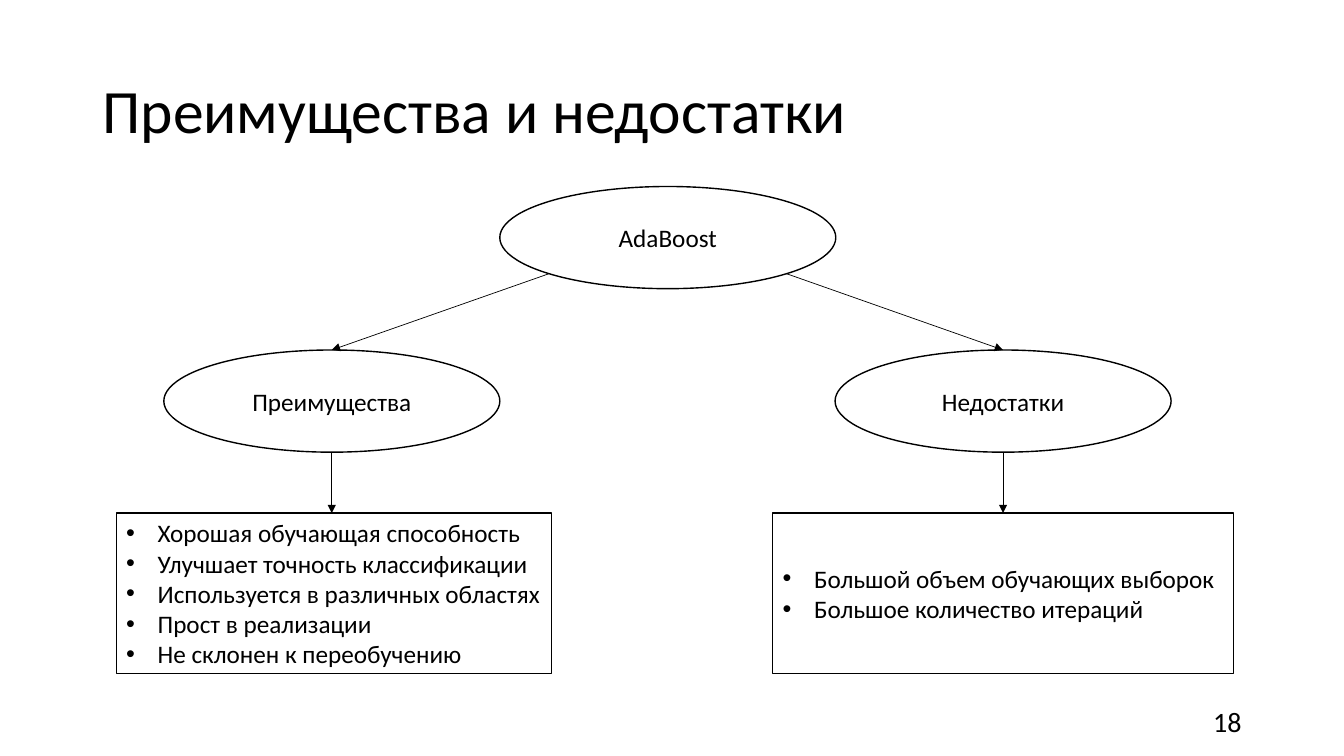
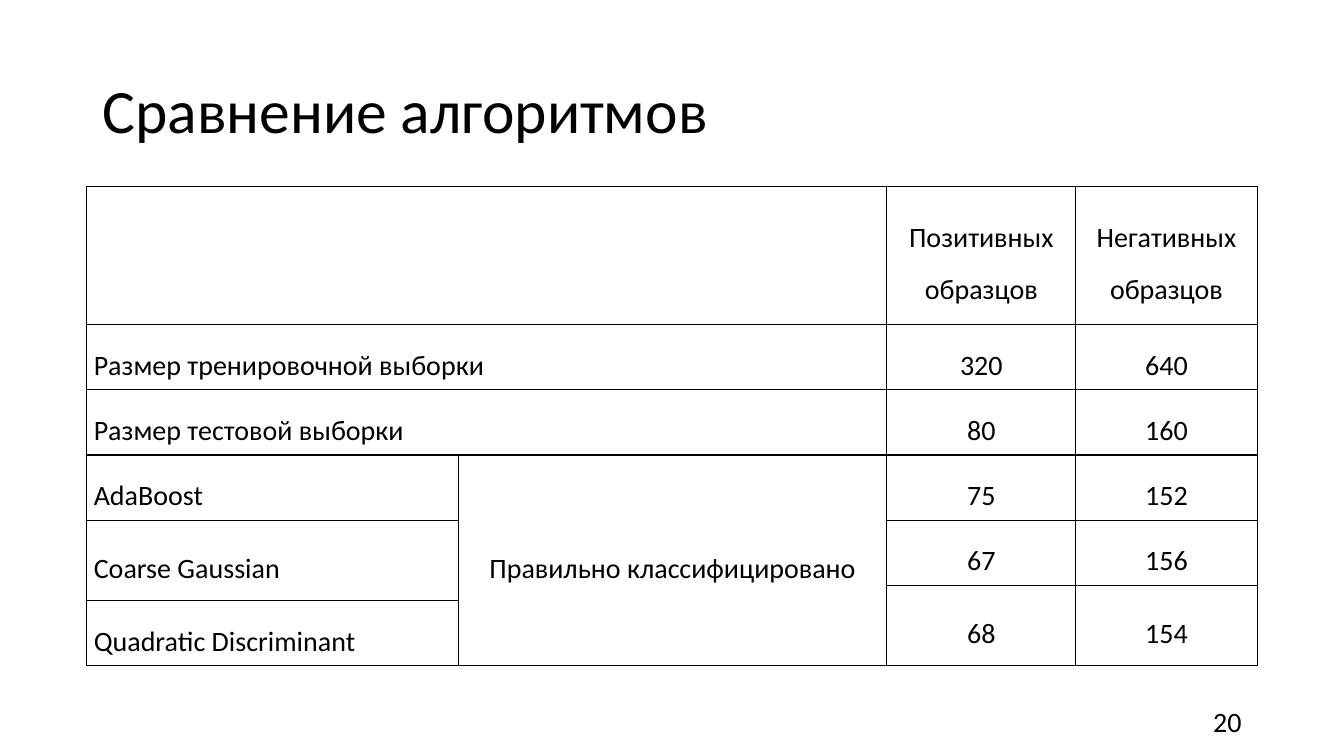
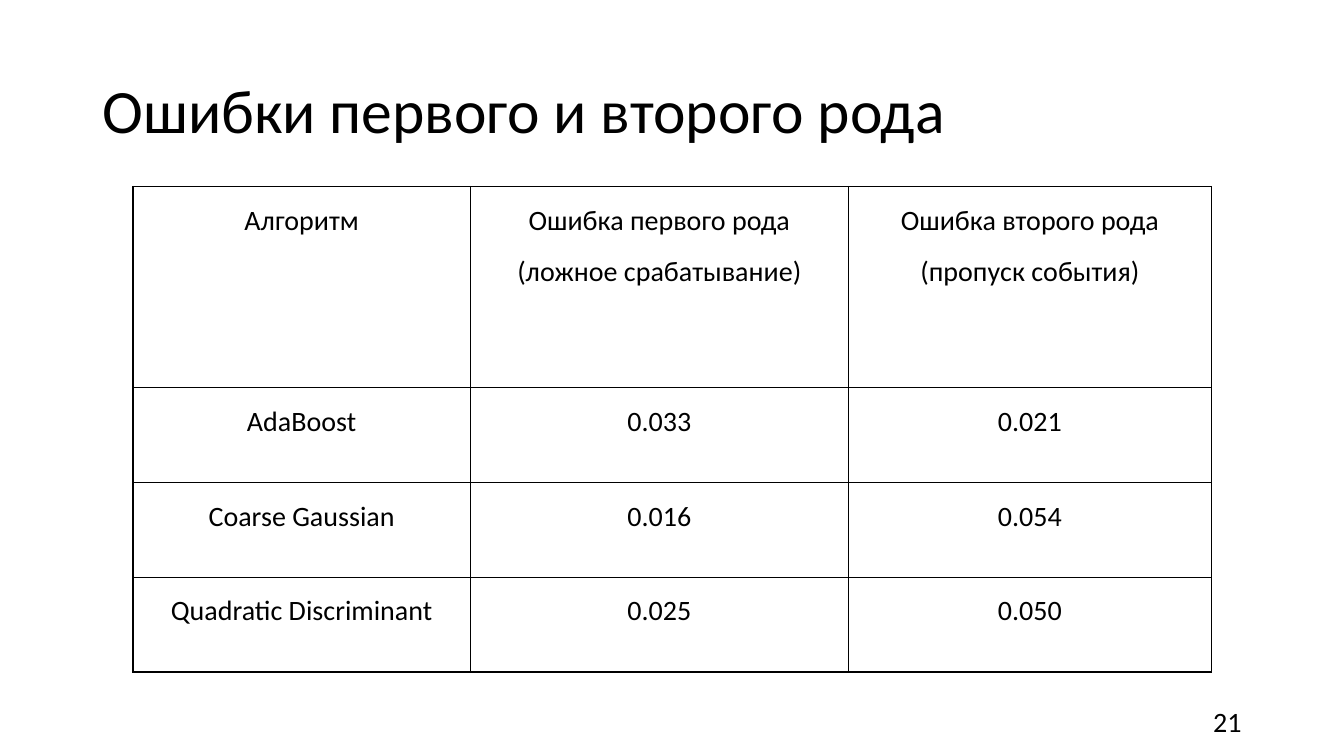
from dataclasses import dataclass
from math import sqrt

from lxml import etree
from pptx import Presentation
from pptx import util as u
from pptx.dml.color import RGBColor
from pptx.enum import shapes, text
from pptx.oxml.ns import qn


@dataclass(frozen=True)
class Theme:
    ink: RGBColor = RGBColor(0, 0, 0)
    paper: RGBColor = RGBColor(255, 255, 255)
    font: str = "Calibri"
    title_size: int = 44
    table_size: int = 20
    number_size: int = 20
    diagram_size: int = 18
    outline: float = 1
    arrow: float = 0.5


THEME = Theme()
ALIGN = text.PP_ALIGN
ANCHOR = text.MSO_ANCHOR

CONTENT_TOP = 133.2
OVAL_WIDTH, OVAL_HEIGHT = 240, 73
BRANCH_TOP = 250
LIST_TOP, LIST_HEIGHT = 366.5, 114.5
ROOT_CENTER = 477
BRANCHES = [
    ("Преимущества", 237, 83, 311, [
        "Хорошая обучающая способность",
        "Улучшает точность классификации",
        "Используется в различных областях",
        "Прост в реализации",
        "Не склонен к переобучению",
    ]),
    ("Недостатки", 716.5, 552, 329, [
        "Большой объем обучающих выборок",
        "Большое количество итераций",
    ]),
]

COMPARISON = [
    [None, None, "Позитивных образцов", "Негативных образцов"],
    ["Размер тренировочной выборки", None, "320", "640"],
    ["Размер тестовой выборки", None, "80", "160"],
    ["AdaBoost", "Правильно классифицировано", "75", "152"],
    ["Coarse Gaussian", None, "67", "156"],
    [None, None, "68", "154"],
    ["Quadratic Discriminant", None, None, None],
]
COMPARISON_MERGES = [
    ((0, 0), (0, 1)), ((1, 0), (1, 1)), ((2, 0), (2, 1)),
    ((3, 1), (6, 1)), ((4, 0), (5, 0)),
    ((5, 2), (6, 2)), ((5, 3), (6, 3)),
]

ERRORS = [
    ["Алгоритм", "Ошибка первого рода (ложное срабатывание)",
     "Ошибка второго рода (пропуск события)"],
    ["AdaBoost", "0.033", "0.021"],
    ["Coarse Gaussian", "0.016", "0.054"],
    ["Quadratic Discriminant", "0.025", "0.050"],
]


def apply(target, **values):
    for name, value in values.items():
        setattr(target, name, value)


def add_child(parent, tag, **attributes):
    child = etree.SubElement(parent, qn(tag))
    for name, value in attributes.items():
        child.set(name, str(value))
    return child


def points(*lengths):
    return [u.Pt(length) for length in lengths]


def write(frame, lines, size, **para_format):
    frame.text = "\n".join(lines)
    for para in frame.paragraphs:
        apply(para, **para_format)
        for span in para.runs:
            apply(span.font, name=THEME.font, size=u.Pt(size))
            span.font.color.rgb = THEME.ink


def add_bullets(frame):
    for para in frame.paragraphs:
        props = para._p.get_or_add_pPr()
        props.set("marL", str(u.Pt(22.5)))
        props.set("indent", str(-u.Pt(22.5)))
        add_child(props, "a:buFont", typeface="Arial")
        add_child(props, "a:buChar", char="•")


def add_page(deck, title, number):
    page = deck.slides.add_slide(deck.slide_layouts[5])
    heading = page.shapes.title
    left, top, width, height = points(66, 28.8, 828, 104.4)
    apply(heading, left=left, top=top, width=width, height=height)
    heading.text_frame.vertical_anchor = ANCHOR.MIDDLE
    write(heading.text_frame, [title], THEME.title_size,
          alignment=ALIGN.LEFT, line_spacing=0.9)
    box = page.shapes.add_textbox(*points(678, 500.5, 216, 28.8))
    apply(box.text_frame, word_wrap=True, vertical_anchor=ANCHOR.MIDDLE)
    write(box.text_frame, [str(number)], THEME.number_size, alignment=ALIGN.RIGHT)
    return page


def add_box(page, kind, place, lines, alignment):
    box = page.shapes.add_shape(kind, *points(*place))
    box.shadow.inherit = False
    box.fill.solid()
    box.fill.fore_color.rgb = THEME.paper
    box.line.color.rgb = THEME.ink
    box.line.width = u.Pt(THEME.outline)
    apply(box.text_frame, word_wrap=True, vertical_anchor=ANCHOR.MIDDLE)
    write(box.text_frame, lines, THEME.diagram_size, alignment=alignment)
    return box


def add_oval(page, center, top, label):
    place = (center - OVAL_WIDTH / 2, top, OVAL_WIDTH, OVAL_HEIGHT)
    add_box(page, shapes.MSO_SHAPE.OVAL, place, [label], ALIGN.CENTER)


def add_list(page, place, lines):
    box = add_box(page, shapes.MSO_SHAPE.RECTANGLE, place, lines, ALIGN.JUSTIFY)
    add_bullets(box.text_frame)


def add_arrow(page, start, end):
    arrow = page.shapes.add_connector(
        shapes.MSO_CONNECTOR.STRAIGHT, *points(*start, *end))
    arrow.line.color.rgb = THEME.ink
    arrow.line.width = u.Pt(THEME.arrow)
    add_child(arrow.line._get_or_add_ln(), "a:tailEnd", type="triangle")
    add_child(arrow._element.spPr, "a:effectLst")


def add_borders(cell):
    props = cell._tc.get_or_add_tcPr()
    for index, side in enumerate(("a:lnL", "a:lnR", "a:lnT", "a:lnB")):
        line = add_child(props, side, w=u.Pt(THEME.outline))
        fill = add_child(line, "a:solidFill")
        add_child(fill, "a:srgbClr", val=THEME.ink)
        props.insert(index, line)


def add_grid(page, left, widths, heights, rows, anchor, label_align, merges=()):
    place = points(left, CONTENT_TOP, sum(widths), sum(heights))
    table = page.shapes.add_table(len(rows), len(widths), *place).table
    apply(table, first_row=False, horz_banding=False)
    for column, width in zip(table.columns, widths):
        column.width = u.Pt(width)
    for row, height in zip(table.rows, heights):
        row.height = u.Pt(height)
    for first, last in merges:
        table.cell(*first).merge(table.cell(*last))
    for row, labels in zip(table.rows, rows):
        for index, (cell, label) in enumerate(zip(row.cells, labels)):
            apply(cell, vertical_anchor=anchor, margin_left=u.Pt(5),
                  margin_right=u.Pt(5), margin_top=0, margin_bottom=0)
            cell.fill.background()
            add_borders(cell)
            if label:
                write(cell.text_frame, [label], THEME.table_size,
                      alignment=ALIGN.CENTER if index else label_align,
                      line_spacing=1.5, space_after=u.Pt(6))


def build_pros_and_cons(deck):
    page = add_page(deck, "Преимущества и недостатки", 18)
    add_oval(page, ROOT_CENTER, CONTENT_TOP, "AdaBoost")
    diagonal = 1 / sqrt(2)
    start_y = CONTENT_TOP + OVAL_HEIGHT / 2 * (1 + diagonal)
    for label, center, left, width, lines in BRANCHES:
        side = 1 if center > ROOT_CENTER else -1
        start_x = ROOT_CENTER + side * OVAL_WIDTH / 2 * diagonal
        add_oval(page, center, BRANCH_TOP, label)
        add_list(page, (left, LIST_TOP, width, LIST_HEIGHT), lines)
        add_arrow(page, (start_x, start_y), (center, BRANCH_TOP))
        add_arrow(page, (center, BRANCH_TOP + OVAL_HEIGHT), (center, LIST_TOP))


def build_comparison(deck):
    page = add_page(deck, "Сравнение алгоритмов", 20)
    add_grid(page, 62, [265.5, 306, 135, 129.5],
             [98.6] + [46.6] * 4 + [10.7, 46.6],
             COMPARISON, ANCHOR.MIDDLE, ALIGN.JUSTIFY, COMPARISON_MERGES)


def build_errors(deck):
    page = add_page(deck, "Ошибки первого и второго рода", 21)
    add_grid(page, 95, [241, 270, 259.5], [143.5] + [67.8] * 3,
             ERRORS, ANCHOR.TOP, ALIGN.CENTER)


def main():
    deck = Presentation()
    apply(deck, slide_width=u.Pt(960), slide_height=u.Pt(540))
    build_pros_and_cons(deck)
    build_comparison(deck)
    build_errors(deck)
    deck.save("out.pptx")


if __name__ == "__main__":
    main()
